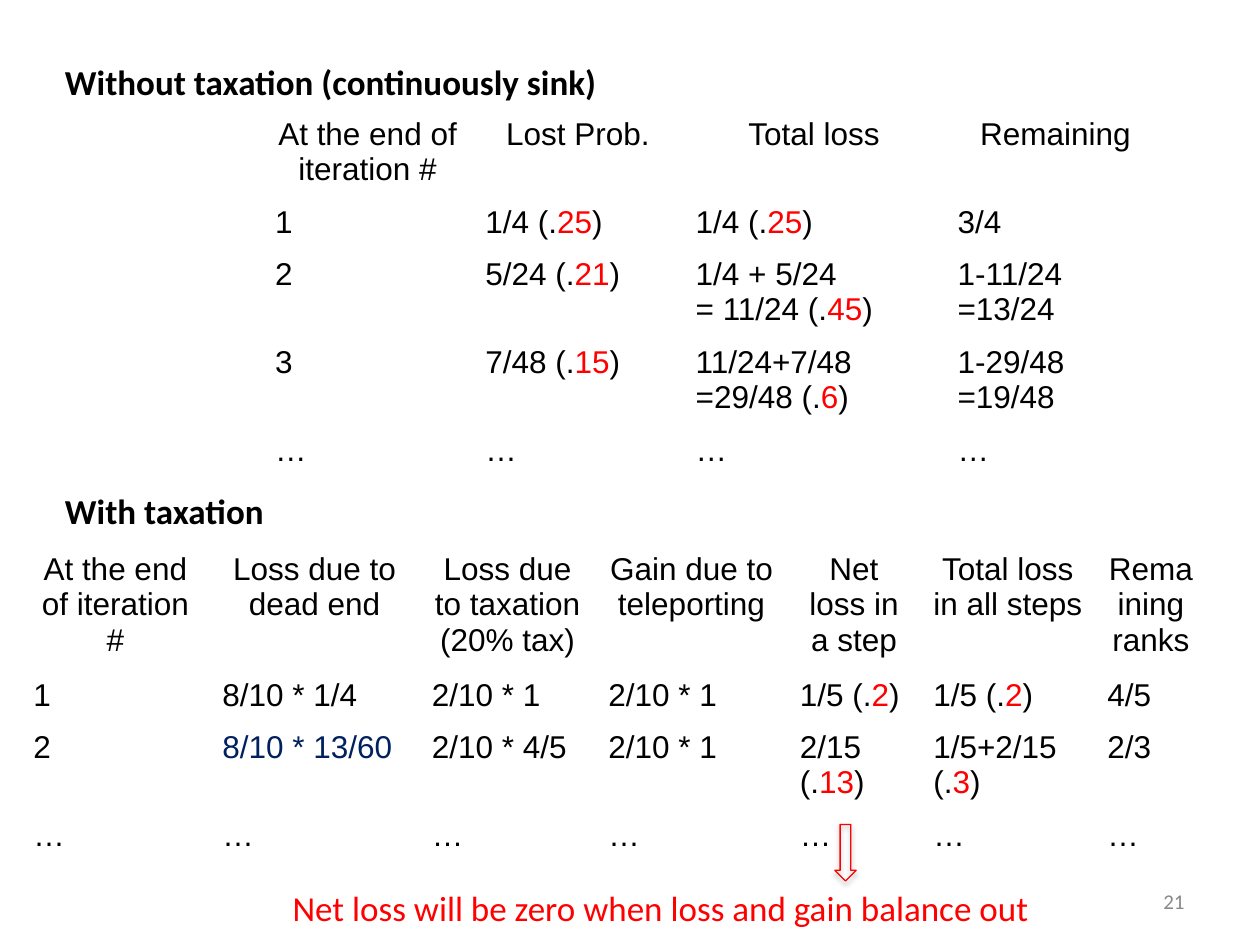
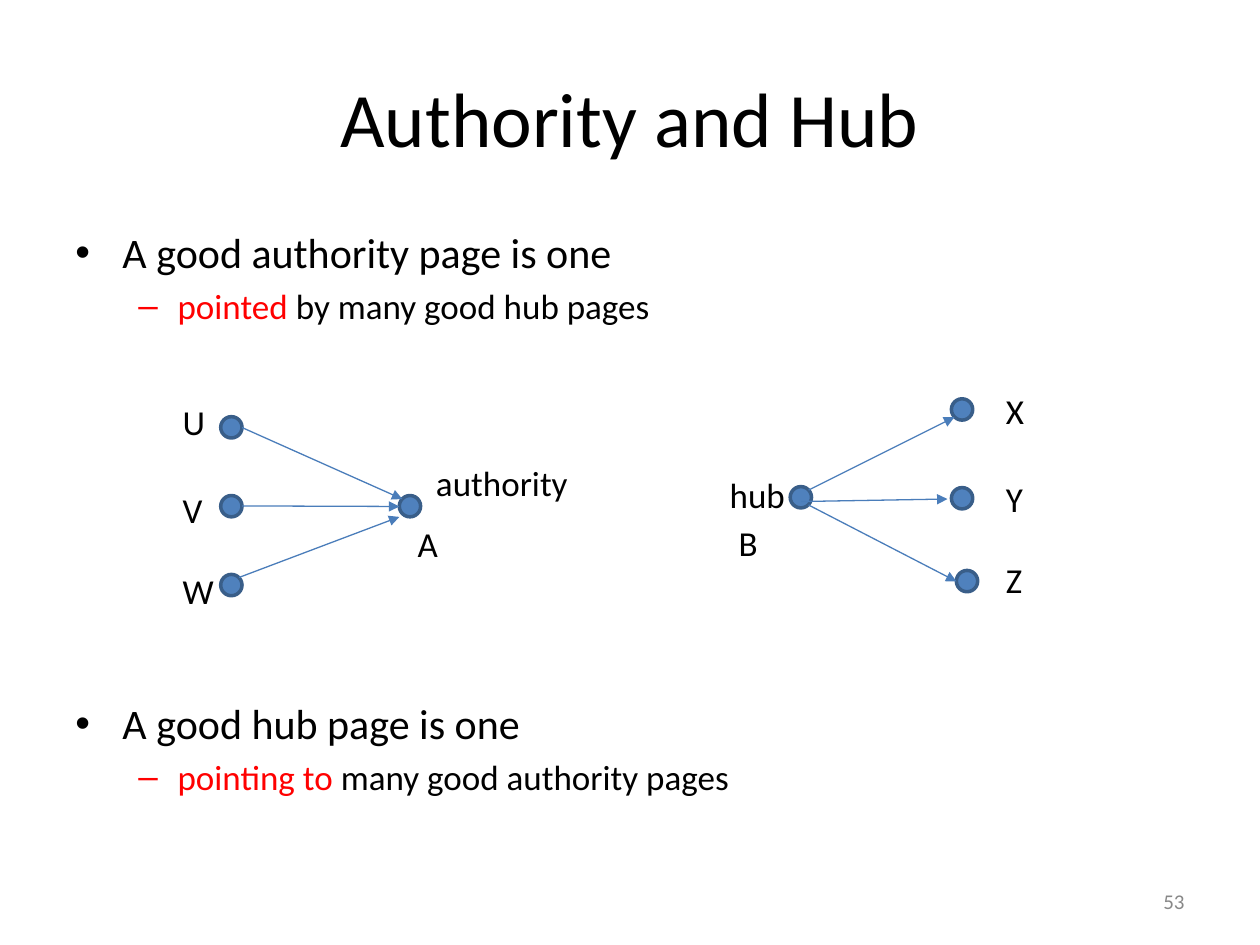
import pptx
import pptx.util
import pptx.dml.color
import pptx.enum.shapes
import pptx.enum.text
import pptx.oxml
import pptx.oxml.ns

Cm = pptx.util.Cm
Pt = pptx.util.Pt
ALIGN = pptx.enum.text.PP_ALIGN
ANCHOR = pptx.enum.text.MSO_ANCHOR
SHAPE = pptx.enum.shapes.MSO_SHAPE

COLORS = {
    "text": "000000",
    "accent": "FF0000",
    "navy": "002060",
    "number": "888888",
    "node": "4F81BD",
    "node_edge": "395E89",
    "arrow": "4A7DBA",
}
NODE_SIZE = 0.43
LABEL_HEIGHT = 1.12
ROW_HEIGHT = 1.04

SINK_COLUMNS = [4.24, 4.24, 5.28, 4.45]
SINK_ROWS = [
    ["At the end of iteration #", "Lost Prob.", "Total loss", "Remaining"],
    ["1", "1/4 (.|25|)", "1/4 (.|25|)", "3/4"],
    ["2", "5/24 (.|21|)", "1/4 + 5/24\n= 11/24 (.|45|)", "1-11/24\n=13/24"],
    ["3", "7/48 (.|15|)", "11/24+7/48\n=29/48 (.|6|)", "1-29/48\n=19/48"],
    ["…"] * 4,
]
TAX_COLUMNS = [3.81, 4.22, 3.56, 3.86, 2.69, 3.51, 2.26]
TAX_ROWS = [
    ["At the end of iteration #", "Loss due to dead end",
     "Loss due to taxation (20% tax)", "Gain due to teleporting",
     "Net loss in a step", "Total loss in all steps", "Remaining ranks"],
    ["1", "8/10 * 1/4", "2/10 * 1", "2/10 * 1", "1/5 (.|2|)", "1/5 (.|2|)", "4/5"],
    ["2", "8/10 * 13/60", "2/10 * 4/5", "2/10 * 1", "2/15\n(.|13|)",
     "1/5+2/15\n(.|3|)", "2/3"],
    ["…"] * 7,
]


def rgb(name):
    return pptx.dml.color.RGBColor.from_string(COLORS[name])


def write(paragraph, text, size=20, font="Calibri", color="text", bold=False,
          align=ALIGN.LEFT):
    """Add text to a paragraph; the parts between bars take the accent colour."""
    paragraph.alignment = align
    for index, part in enumerate(text.split("|")):
        if part:
            run = paragraph.add_run()
            run.text = part
            run.font.size = Pt(size)
            run.font.name = font
            run.font.bold = bold
            run.font.color.rgb = rgb("accent" if index % 2 else color)


def write_lines(frame, text, **text_format):
    for index, line in enumerate(text.split("\n")):
        paragraph = frame.add_paragraph() if index else frame.paragraphs[0]
        write(paragraph, line, **text_format)


def add_text(slide, text, left, top, width, height=LABEL_HEIGHT,
             anchor=ANCHOR.TOP, **text_format):
    box = slide.shapes.add_textbox(Cm(left), Cm(top), Cm(width), Cm(height))
    box.text_frame.word_wrap = True
    box.text_frame.vertical_anchor = anchor
    write_lines(box.text_frame, text, **text_format)


def add_page_number(slide, number):
    add_text(slide, str(number), 18.21, 17.65, 5.92, 1.02, anchor=ANCHOR.MIDDLE,
             size=12, color="number", align=ALIGN.RIGHT)


def add_plain_table(slide, rows, left, top, column_widths, header_height=ROW_HEIGHT):
    """Add a table without fills or borders and return it."""
    heights = [header_height] + [ROW_HEIGHT] * (len(rows) - 1)
    table = slide.shapes.add_table(
        len(rows), len(column_widths), Cm(left), Cm(top),
        Cm(sum(column_widths)), Cm(sum(heights))).table
    table.first_row = table.horz_banding = False
    # The "No Style, No Grid" table style
    style = table._tbl.tblPr.find(pptx.oxml.ns.qn("a:tableStyleId"))
    style.text = "{2D5ABB26-0587-4C30-8999-92F81FD0307C}"
    for column, width in zip(table.columns, column_widths):
        column.width = Cm(width)
    for row_index, texts in enumerate(rows):
        table.rows[row_index].height = Cm(heights[row_index])
        for column_index, text in enumerate(texts):
            cell = table.cell(row_index, column_index)
            cell.fill.background()
            write_lines(cell.text_frame, text, size=18, font="Arial",
                        align=ALIGN.LEFT if row_index else ALIGN.CENTER)
    return table


def add_shape(slide, kind, left, top, width, height, line, line_width, fill=None):
    shape = slide.shapes.add_shape(kind, Cm(left), Cm(top), Cm(width), Cm(height))
    shape.shadow.inherit = False
    shape.line.color.rgb = rgb(line)
    shape.line.width = Pt(line_width)
    if fill:
        shape.fill.solid()
        shape.fill.fore_color.rgb = rgb(fill)
    else:
        shape.fill.background()
    return shape


def add_soft_shadow(shape):
    effects = shape._element.spPr.find(pptx.oxml.ns.qn("a:effectLst"))
    effects.append(pptx.oxml.parse_xml(
        f'<a:outerShdw {pptx.oxml.ns.nsdecls("a")} blurRad="{Pt(3.1)}" '
        f'dist="{Pt(1.8)}" dir="5400000" rotWithShape="0">'
        '<a:srgbClr val="000000"><a:alpha val="34000"/></a:srgbClr></a:outerShdw>'))


def add_arrow(slide, start, end):
    connector = slide.shapes.add_connector(
        pptx.enum.shapes.MSO_CONNECTOR.STRAIGHT, *map(Cm, start + end))
    connector.line.color.rgb = rgb("arrow")
    connector.line.width = Pt(0.75)
    namespace = pptx.oxml.ns.nsdecls("a")
    connector.line._get_or_add_ln().append(
        pptx.oxml.parse_xml(f'<a:tailEnd {namespace} type="triangle"/>'))
    connector._element.spPr.append(pptx.oxml.parse_xml(f"<a:effectLst {namespace}/>"))


def set_bullet(paragraph, character, color, margin, hanging):
    properties = paragraph._p.get_or_add_pPr()
    properties.set("marL", str(Cm(margin)))
    properties.set("indent", str(-Cm(hanging)))
    namespace = pptx.oxml.ns.nsdecls("a")
    for xml in (f'<a:buClr {namespace}><a:srgbClr val="{COLORS[color]}"/></a:buClr>',
                f'<a:buFont {namespace} typeface="Arial"/>',
                f'<a:buChar {namespace} char="{character}"/>'):
        properties.append(pptx.oxml.parse_xml(xml))


def add_bullet_pair(slide, top, statement, detail):
    box = slide.shapes.add_textbox(Cm(1.27), Cm(top), Cm(22.86), Cm(2.4))
    frame = box.text_frame
    frame.word_wrap = True
    set_bullet(frame.paragraphs[0], "•", "text", 0.95, 0.95)
    write(frame.paragraphs[0], statement, size=24)
    paragraph = frame.add_paragraph()
    set_bullet(paragraph, "–", "accent", 2.06, 0.79)
    paragraph.space_before = Pt(4)
    write(paragraph, detail)


def build_taxation_slide(presentation):
    slide = presentation.slides.add_slide(presentation.slide_layouts[6])
    add_page_number(slide, 21)

    # Tables and their headings
    add_plain_table(slide, SINK_ROWS, 5.29, 2.23, SINK_COLUMNS)
    tax_table = add_plain_table(slide, TAX_ROWS, 0.42, 11, TAX_COLUMNS, 2.32)
    dead_end_loss = tax_table.cell(2, 1).text_frame.paragraphs[0].runs[0]
    dead_end_loss.font.color.rgb = rgb("navy")
    add_text(slide, "Without taxation (continuously sink)", 1.06, 1.09, 11.6, bold=True)
    add_text(slide, "With taxation", 1.06, 9.74, 4.8, bold=True)

    # Conclusion under the net loss column
    add_text(slide, "Net loss will be zero when loss and gain balance out",
             5.65, 17.75, 15.8, color="accent")
    arrow = add_shape(slide, SHAPE.DOWN_ARROW, 16.83, 16.62, 0.43, 1.14, "accent", 0.75)
    add_soft_shadow(arrow)


def build_authority_slide(presentation):
    slide = presentation.slides.add_slide(presentation.slide_layouts[5])

    # Title
    title = slide.shapes.title
    title.left, title.top, title.width, title.height = map(Cm, (1.27, 0.76, 22.86, 3.18))
    title.text_frame.vertical_anchor = ANCHOR.MIDDLE
    write(title.text_frame.paragraphs[0], "Authority and Hub", size=44,
          align=ALIGN.CENTER)

    # Statements
    add_bullet_pair(slide, 4.45, "A good authority page is one",
                    "|pointed |by many good hub pages")
    add_bullet_pair(slide, 13.94, "A good hub page is one",
                    "|pointing to |many good authority pages")
    add_page_number(slide, 53)

    # Graph nodes: U, V, W, A, then B, X, Y, Z
    for left, top in [(4.45, 8.4), (4.45, 9.99), (4.45, 11.58), (8.05, 9.99),
                      (15.93, 9.81), (19.18, 8.04), (19.18, 9.83), (19.28, 11.5)]:
        add_shape(slide, SHAPE.OVAL, left, top, NODE_SIZE, NODE_SIZE,
                  "node_edge", 2, "node")

    # Links into the authority, then out of the hub
    for start, end in [((4.88, 8.62), (8.11, 10.06)), ((4.88, 10.2), (8.05, 10.21)),
                       ((4.82, 11.64), (8.05, 10.42)), ((16.3, 9.88), (19.24, 8.41)),
                       ((16.15, 10.11), (19.1, 10.06)), ((16.3, 10.18), (19.28, 11.72))]:
        add_arrow(slide, start, end)

    # Node labels
    for text, left, top, width in [
            ("U", 3.43, 7.95, 1.2), ("V", 3.43, 9.73, 1.2), ("W", 3.43, 11.36, 1.2),
            ("X", 20.03, 7.72, 1.2), ("Y", 20.03, 9.5, 1.2), ("Z", 20.03, 11.13, 1.2),
            ("authority", 8.54, 9.17, 3.4), ("A", 8.17, 10.4, 1.2),
            ("hub", 14.46, 9.43, 1.75), ("B", 14.64, 10.38, 1.2)]:
        add_text(slide, text, left, top, width)


def main():
    presentation = pptx.Presentation()
    presentation.slide_width = Cm(25.4)
    presentation.slide_height = Cm(19.05)
    build_taxation_slide(presentation)
    build_authority_slide(presentation)
    presentation.save("out.pptx")


if __name__ == "__main__":
    main()
